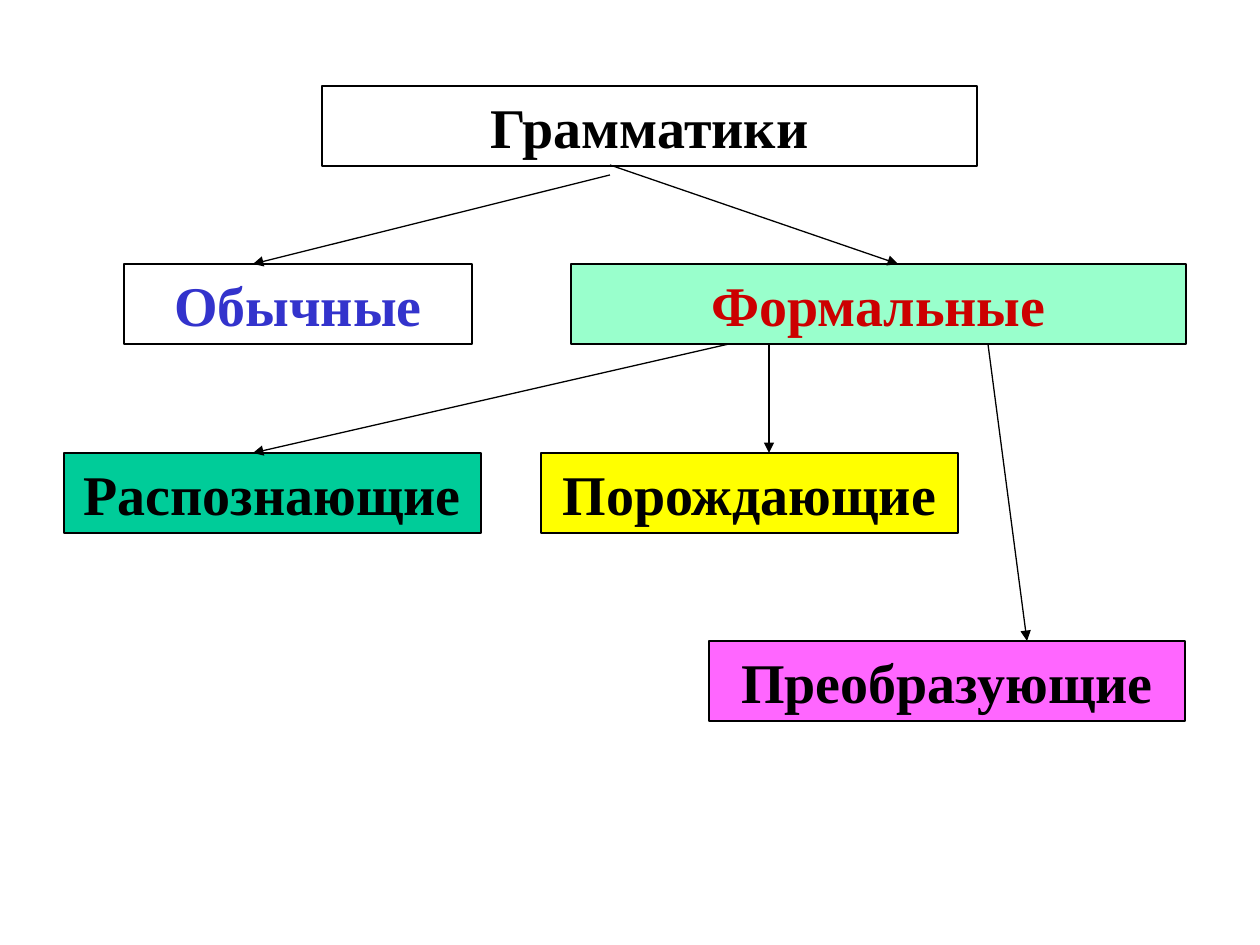
from lxml import etree
from pptx import Presentation
from pptx import util as u
from pptx.dml.color import RGBColor
from pptx.enum import shapes, text
from pptx.oxml.ns import qn

SCALE = u.Inches(1) / 126
BLACK = RGBColor(0, 0, 0)
BLUE = RGBColor(0x33, 0x33, 0xCC)
RED = RGBColor(0xCC, 0, 0)
MINT = RGBColor(0x99, 0xFF, 0xCC)
GREEN = RGBColor(0, 0xCC, 0x99)
YELLOW = RGBColor(0xFF, 0xFF, 0)
PINK = RGBColor(0xFF, 0x66, 0xFF)

HIGH = 80
ROOT, KINDS, TYPES, LAST = 86, 264, 453, 641
FONT = {"name": "Times New Roman", "size": u.Pt(32), "bold": True}
FRAME = {
    "word_wrap": True,
    "vertical_anchor": text.MSO_ANCHOR.TOP,
    "margin_left": u.Inches(0.1),
    "margin_right": u.Inches(0.1),
    "margin_top": u.Inches(0.05),
    "margin_bottom": u.Inches(0.05),
}

BOXES = [
    ("Грамматики", 322, ROOT, 655, None, BLACK),
    ("Обычные", 124, KINDS, 348, None, BLUE),
    ("Формальные", 571, KINDS, 615, MINT, RED),
    ("Распознающие", 64, TYPES, 417, GREEN, BLACK),
    ("Порождающие", 541, TYPES, 417, YELLOW, BLACK),
    ("Преобразующие", 709, LAST, 476, PINK, BLACK),
]
ARROWS = [
    (729, KINDS + HIGH, 253, TYPES),
    (769, KINDS + HIGH, 769, TYPES),
    (988, KINDS + HIGH, 1027, LAST),
    (610, 175, 253, KINDS),
    (610, 165, 898, KINDS),
]


def px(*sizes):
    return [round(size * SCALE) for size in sizes]


def style(item, values):
    for key, value in values.items():
        setattr(item, key, value)


def outline(line):
    line.color.rgb = BLACK
    line.width = u.Pt(0.75)


def add_box(slide, label, left, top, width, fill, color):
    box = slide.shapes.add_shape(
        shapes.MSO_SHAPE.RECTANGLE, *px(left, top, width, HIGH))
    box.shadow.inherit = False
    if fill is None:
        box.fill.background()
    else:
        box.fill.solid()
        box.fill.fore_color.rgb = fill
    outline(box.line)
    style(box.text_frame, FRAME)
    para = box.text_frame.paragraphs[0]
    para.alignment = text.PP_ALIGN.CENTER
    run = para.add_run()
    run.text = label
    style(run.font, FONT)
    run.font.color.rgb = color


def add_arrow(slide, *ends):
    arrow = slide.shapes.add_connector(
        shapes.MSO_CONNECTOR.STRAIGHT, *px(*ends))
    outline(arrow.line)
    tip = etree.SubElement(arrow.line._get_or_add_ln(), qn("a:tailEnd"))
    tip.set("type", "triangle")
    etree.SubElement(arrow._element.spPr, qn("a:effectLst"))


def main():
    deck = Presentation()
    deck.slide_width, deck.slide_height = px(1260, 945)
    slide = deck.slides.add_slide(deck.slide_layouts[6])
    for box in BOXES:
        add_box(slide, *box)
    for ends in ARROWS:
        add_arrow(slide, *ends)
    deck.save("out.pptx")


if __name__ == "__main__":
    main()
